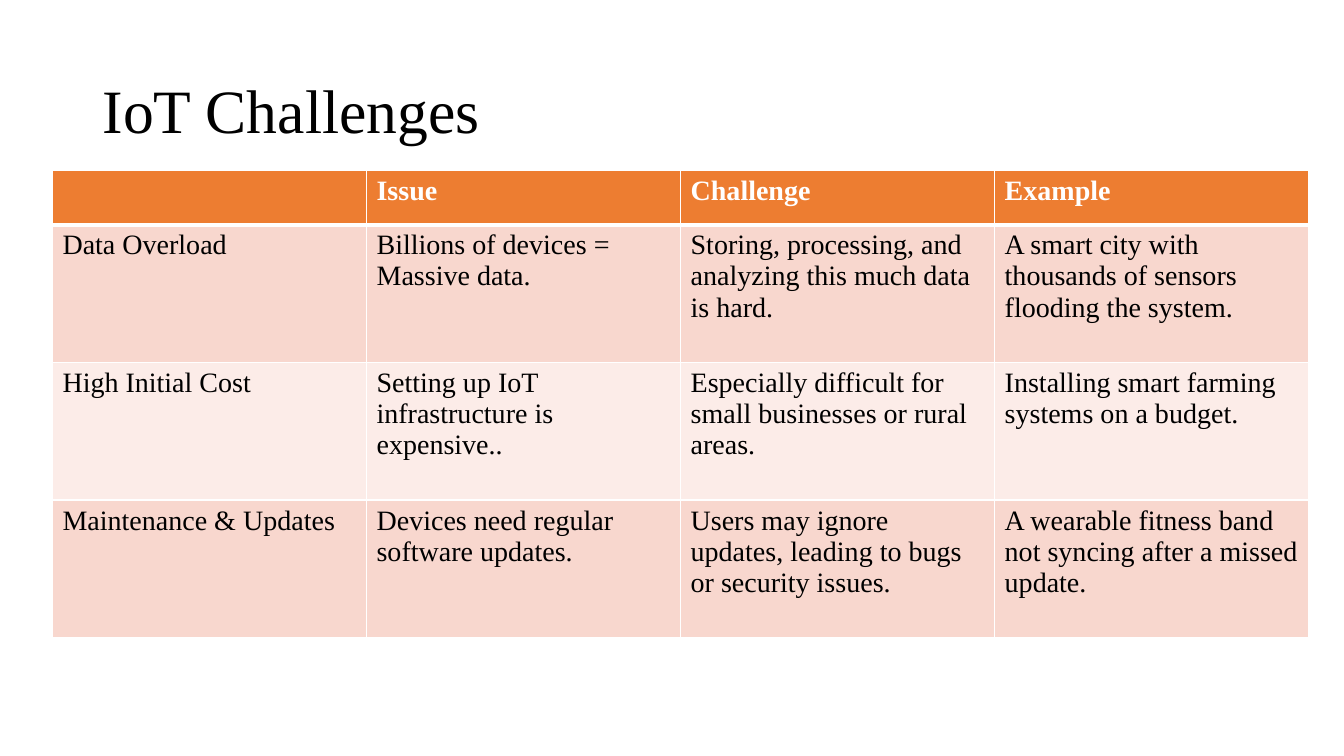
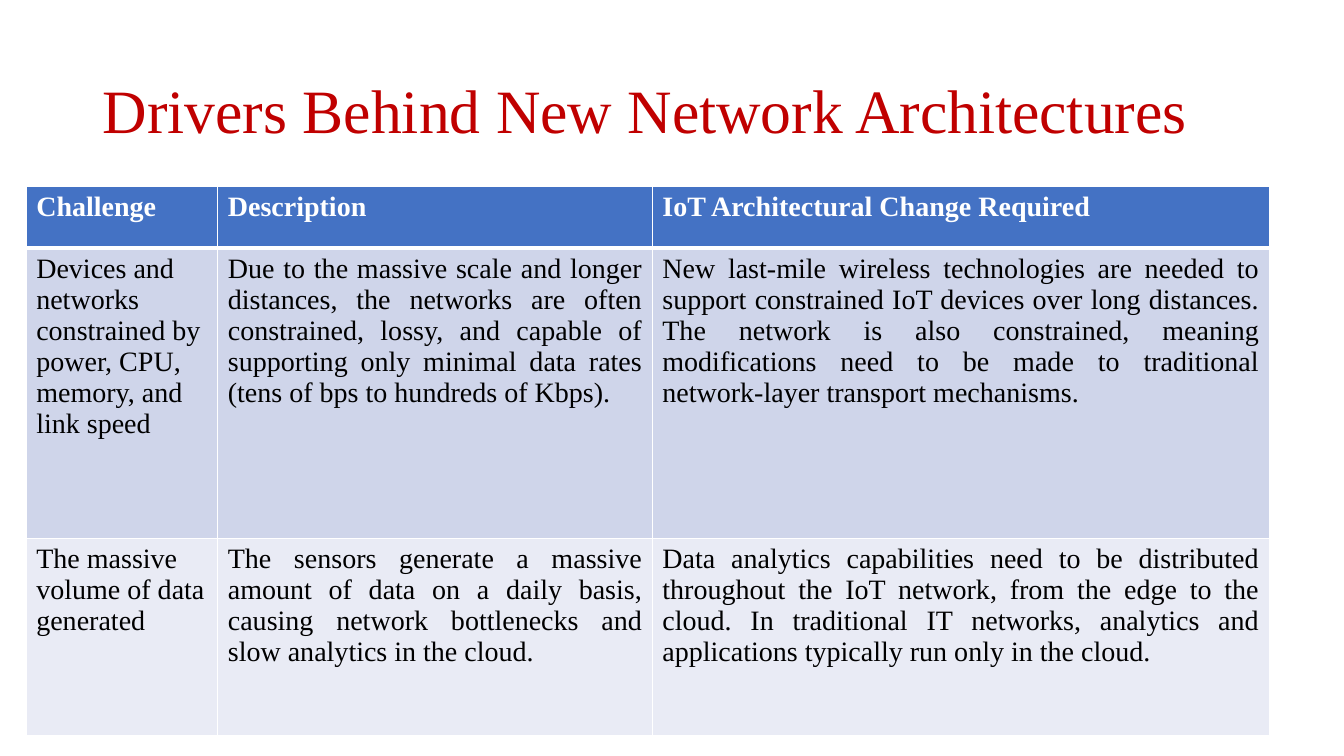
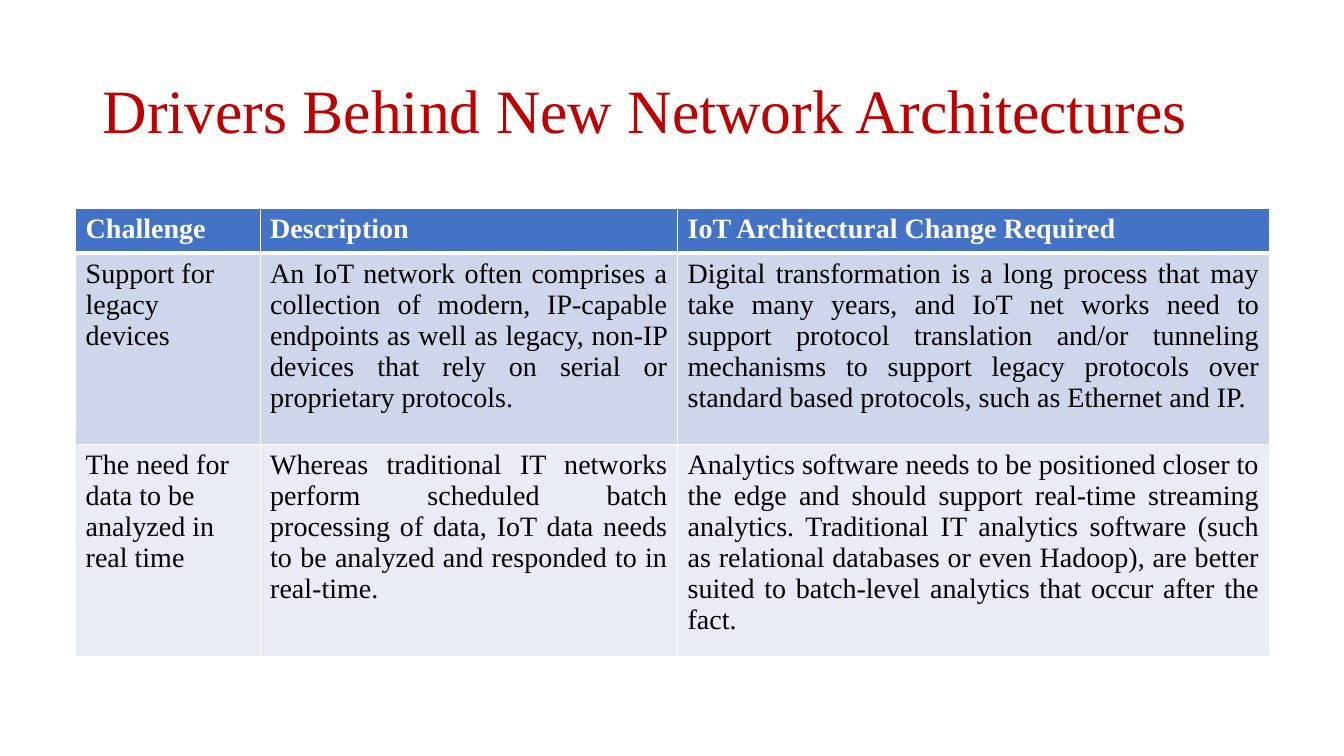
from dataclasses import dataclass

from lxml.etree import SubElement
from pptx import Presentation
from pptx.dml.color import RGBColor
from pptx.enum.text import MSO_ANCHOR, PP_ALIGN
from pptx.oxml.ns import qn
from pptx.util import Inches, Pt

FONT = "Times New Roman"
WHITE, BLACK, RED = "FFFFFF", "000000", "C00000"
THIN, THICK = 1, 3


@dataclass(frozen=True)
class Theme:
    head: str
    odd: str
    even: str
    align: PP_ALIGN


ORANGE = Theme("ED7D31", "F8D7CE", "FCECE8", PP_ALIGN.LEFT)
BLUE = Theme("4472C4", "CFD5EA", "E9EBF5", PP_ALIGN.JUSTIFY)


@dataclass(frozen=True)
class Page:
    title: str
    color: str
    theme: Theme
    left: float
    top: float
    widths: list[float]
    heights: list[float]
    rows: list[list[str]]


DRIVERS = "Drivers Behind New Network Architectures"
HEADS = ["Challenge", "Description", "IoT Architectural Change Required"]

PAGES = [
    Page("IoT Challenges", BLACK, ORANGE, 0.52, 1.69,
         [3.115] * 4, [0.54] + [1.365] * 3, [
             ["", "Issue", "Challenge", "Example"],
             ["Data Overload",
              "Billions of devices = Massive data.",
              "Storing, processing, and analyzing this much data is hard.",
              "A smart city with thousands of sensors flooding the system."],
             ["High Initial Cost",
              "Setting up IoT infrastructure is expensive..",
              "Especially difficult for small businesses or rural areas.",
              "Installing smart farming systems on a budget."],
             ["Maintenance & Updates",
              "Devices need regular software updates.",
              "Users may ignore updates, leading to bugs or security issues.",
              "A wearable fitness band not syncing after a missed update."],
         ]),
    Page(DRIVERS, RED, BLUE, 0.26, 1.85,
         [1.9, 4.31, 6.12], [0.61, 2.88, 1.96], [
             HEADS,
             ["Devices and networks constrained by power, CPU, memory, "
              "and link speed",
              "Due to the massive scale and longer distances, the networks "
              "are often constrained, lossy, and capable of supporting only "
              "minimal data rates (tens of bps to hundreds of Kbps).",
              "New last-mile wireless technologies are needed to support "
              "constrained IoT devices over long distances. The network is "
              "also constrained, meaning modifications need to be made to "
              "traditional network-layer transport mechanisms."],
             ["The massive volume of data generated",
              "The sensors generate a massive amount of data on a daily "
              "basis, causing network bottlenecks and slow analytics in the "
              "cloud.",
              "Data analytics capabilities need to be distributed throughout "
              "the IoT network, from the edge to the cloud. In traditional IT "
              "networks, analytics and applications typically run only in "
              "the cloud."],
         ]),
    Page(DRIVERS, RED, BLUE, 0.75, 2.07,
         [1.83, 4.14, 5.87], [0.44, 1.9, 1.95], [
             HEADS,
             ["Support for legacy devices",
              "An IoT network often comprises a collection of modern, "
              "IP-capable endpoints as well as legacy, non-IP devices that "
              "rely on serial or proprietary protocols.",
              "Digital transformation is a long process that may take many "
              "years, and IoT net works need to support protocol translation "
              "and/or tunneling mechanisms to support legacy protocols over "
              "standard based protocols, such as Ethernet and IP."],
             ["The need for data to be analyzed in real time",
              "Whereas traditional IT networks perform scheduled batch "
              "processing of data, IoT data needs to be analyzed and "
              "responded to in real-time.",
              "Analytics software needs to be positioned closer to the edge "
              "and should support real-time streaming analytics. Traditional "
              "IT analytics software (such as relational databases or even "
              "Hadoop), are better suited to batch-level analytics that occur "
              "after the fact."],
         ]),
]


def rgb(code: str) -> RGBColor:
    return RGBColor.from_string(code)


def style(para, size: float, color: str, bold: bool = False) -> None:
    font = para.font
    font.name, font.size, font.bold = FONT, Pt(size), bold
    font.color.rgb = rgb(color)


def title(slide, page: Page) -> None:
    box = slide.shapes.add_textbox(
        Inches(0.92), Inches(0.4), Inches(11.5), Inches(1.45))
    frame = box.text_frame
    frame.word_wrap = True
    frame.vertical_anchor = MSO_ANCHOR.MIDDLE
    frame.text = page.title
    para = frame.paragraphs[0]
    para.line_spacing = 0.9
    style(para, 44, page.color)


def border(cell, top: int, bottom: int) -> None:
    props = cell._tc.get_or_add_tcPr()
    sides = {"lnL": THIN, "lnR": THIN, "lnT": top, "lnB": bottom}
    for side, width in sides.items():
        line = SubElement(props, qn(f"a:{side}"), w=str(Pt(width)))
        fill = SubElement(line, qn("a:solidFill"))
        SubElement(fill, qn("a:srgbClr"), val=WHITE)


def grid(slide, page: Page) -> None:
    theme = page.theme
    table = slide.shapes.add_table(
        len(page.heights), len(page.widths),
        Inches(page.left), Inches(page.top),
        Inches(sum(page.widths)), Inches(sum(page.heights))).table
    for col, width in zip(table.columns, page.widths):
        col.width = Inches(width)
    for r, (row, height) in enumerate(zip(table.rows, page.heights)):
        row.height = Inches(height)
        head = r == 0
        shade = theme.head if head else theme.odd if r % 2 else theme.even
        for c, cell in enumerate(row.cells):
            border(cell, THICK if r == 1 else THIN, THICK if head else THIN)
            cell.fill.solid()
            cell.fill.fore_color.rgb = rgb(shade)
            cell.text_frame.text = page.rows[r][c]
            para = cell.text_frame.paragraphs[0]
            para.alignment = PP_ALIGN.LEFT if head or c == 0 else theme.align
            style(para, 20, WHITE if head else BLACK, head)


def main() -> None:
    deck = Presentation()
    deck.slide_width, deck.slide_height = Inches(13.33), Inches(7.5)
    for page in PAGES:
        slide = deck.slides.add_slide(deck.slide_layouts[6])
        title(slide, page)
        grid(slide, page)
    deck.save("out.pptx")


if __name__ == "__main__":
    main()
